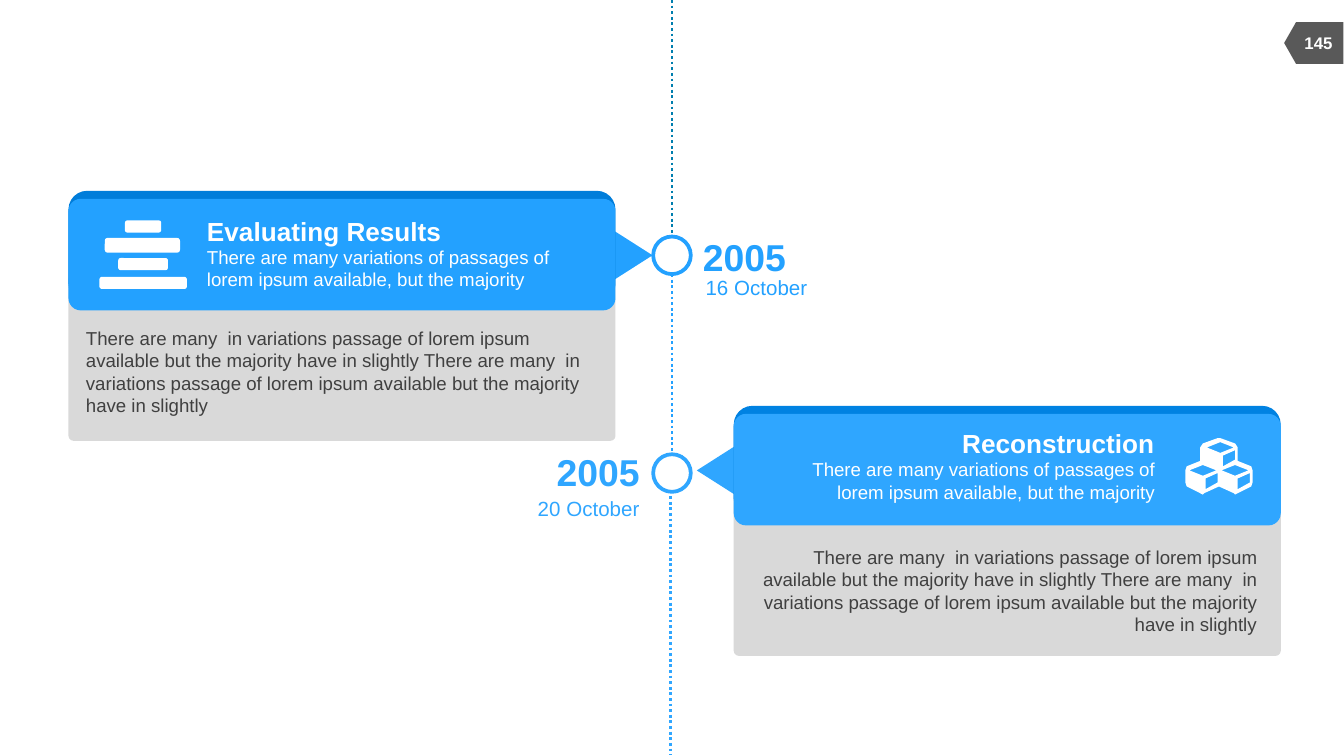
from dataclasses import dataclass

import pptx
import pptx.dml.color
import pptx.enum.dml
import pptx.enum.shapes
import pptx.enum.text
import pptx.oxml.ns
import pptx.util
from lxml import etree

Inches = pptx.util.Inches
Pt = pptx.util.Pt
SHAPES = pptx.enum.shapes.MSO_SHAPE
ANCHOR = pptx.enum.text.MSO_ANCHOR
ALIGN = pptx.enum.text.PP_ALIGN
Point = tuple[float, float]
Box = tuple[float, float, float, float]


@dataclass(frozen=True)
class Theme:
    font: str = "Arial"
    white: str = "FFFFFF"
    panel: str = "D9D9D9"
    body: str = "404040"
    tag: str = "595959"
    line_top: str = "007EAE"
    first: str = "23A1FF"
    first_edge: str = "007DDA"
    second: str = "2FA6FF"
    second_edge: str = "0082E2"
    year_size: int = 20
    title_size: int = 14
    date_size: int = 11
    text_size: int = 10
    page_size: int = 9


THEME = Theme()
SUMMARY = "There are many variations of passages of lorem ipsum available, but the majority"
PASSAGE = ("There are many  in variations passage of lorem ipsum "
           "available but the majority have in slightly")
BODY = f"{PASSAGE} {PASSAGE}"


@dataclass(frozen=True)
class Event:
    title: str
    year: str
    date: str
    color: str
    edge: str
    align: pptx.enum.text.PP_ALIGN
    card: Point
    arrow_x: float
    arrow_turn: int
    node_y: float
    title_box: Box
    summary_at: Point
    body_at: Point
    year_at: Point
    date_at: Point


@dataclass(frozen=True)
class Dots:
    x: float
    top: float
    bottom: float
    color: str


EVENTS = [
    Event("Evaluating Results", "2005", "16 October", THEME.first, THEME.first_edge,
          ALIGN.LEFT, (0.51, 1.42), 4.4, 90, 1.76, (1.54, 1.6, 1.75, 0.24),
          (1.54, 1.83), (0.64, 2.43), (5.23, 1.74), (5.25, 2.04)),
    Event("Reconstruction", "2005", "20 October", THEME.second, THEME.second_edge,
          ALIGN.RIGHT, (5.46, 3.02), 5.13, 270, 3.38, (7.16, 3.18, 1.43, 0.24),
          (5.83, 3.41), (5.58, 4.06), (4.14, 3.34), (4, 3.69)),
]
TIMELINE = [
    Dots(5, 0, 1.76, THEME.line_top),
    Dots(5, 2.04, 3.38, THEME.first),
    Dots(4.99, 3.65, 5.62, THEME.second),
]
# Bars of the stack icon
BARS: list[Box] = [
    (0.93, 1.64, 0.27, 0.09),
    (0.78, 1.77, 0.56, 0.11),
    (0.88, 1.92, 0.37, 0.09),
    (0.74, 2.06, 0.65, 0.09),
]
# Cubes icon, in hundredths of an inch: right half of the outline, cut-out faces
CUBES_AXIS = 907
CUBES_EDGE: list[Point] = [
    (908, 326), (919, 330), (921, 333), (921, 343), (931, 347), (932, 350),
    (932, 359), (931, 362), (921, 367), (919, 368), (918, 367), (907, 362),
]
CUBE_TOPS: list[Point] = [(908, 329), (895, 346), (919, 346)]
CUBE_FACES: list[list[Point]] = [
    [(0, 0), (-10, 4), (0, 8), (10, 4)],
    [(11, 13), (11, 6), (2, 10), (2, 18)],
]


def rgb(color: str) -> pptx.dml.color.RGBColor:
    return pptx.dml.color.RGBColor.from_string(color)


def paint(sp, fill: str, line: str | None = None, width: float = 0) -> None:
    sp.shadow.inherit = False
    sp.fill.solid()
    sp.fill.fore_color.rgb = rgb(fill)
    if line:
        sp.line.color.rgb = rgb(line)
        sp.line.width = Pt(width)
    else:
        sp.line.fill.background()


def add_shape(s, kind, box: Box, fill: str, adj: float | None = None, turn: int = 0,
              line: str | None = None, width: float = 0) -> None:
    sp = s.shapes.add_shape(kind, *map(Inches, box))
    paint(sp, fill, line, width)
    sp.rotation = turn
    if adj is not None:
        sp.adjustments[0] = adj


def add_text(s, text: str, box: Box, size: int, color: str, align,
             bold: bool = False, wrap: bool = False) -> None:
    tf = s.shapes.add_textbox(*map(Inches, box)).text_frame
    tf.margin_left = tf.margin_right = tf.margin_top = tf.margin_bottom = 0
    tf.word_wrap = wrap
    tf.vertical_anchor = ANCHOR.TOP if wrap else ANCHOR.MIDDLE
    p = tf.paragraphs[0]
    p.text = text
    p.alignment = align
    p.font.name = THEME.font
    p.font.size = Pt(size)
    p.font.bold = bold
    p.font.color.rgb = rgb(color)


def add_dots(s, dots: Dots) -> None:
    cxn = s.shapes.add_connector(
        pptx.enum.shapes.MSO_CONNECTOR.STRAIGHT,
        Inches(dots.x), Inches(dots.top), Inches(dots.x), Inches(dots.bottom))
    cxn.line.color.rgb = rgb(dots.color)
    cxn.line.width = Pt(1.5)
    cxn.line.dash_style = pptx.enum.dml.MSO_LINE.ROUND_DOT
    etree.SubElement(cxn._element.spPr, pptx.oxml.ns.qn("a:effectLst"))


def add_event(s, ev: Event) -> None:
    x, y = ev.card
    # Card
    add_shape(s, SHAPES.ROUNDED_RECTANGLE, (x, y + 0.62, 4.07, 1.24), THEME.panel, 0.03)
    add_shape(s, SHAPES.ISOSCELES_TRIANGLE, (ev.arrow_x, y + 0.28, 0.51, 0.4),
              ev.color, turn=ev.arrow_turn)
    add_shape(s, SHAPES.ROUNDED_RECTANGLE, (x, y, 4.07, 0.83), ev.edge)
    add_shape(s, SHAPES.ROUNDED_RECTANGLE, (x, y + 0.06, 4.07, 0.83), ev.color, 0.11)
    add_text(s, ev.title, ev.title_box, THEME.title_size, THEME.white, ev.align, bold=True)
    add_text(s, SUMMARY, (*ev.summary_at, 2.76, 0.34), THEME.text_size, THEME.white,
             ev.align, wrap=True)
    add_text(s, BODY, (*ev.body_at, 3.77, 0.67), THEME.text_size, THEME.body,
             ev.align, wrap=True)
    # Node and date
    add_shape(s, SHAPES.OVAL, (4.86, ev.node_y, 0.28, 0.28), THEME.white,
              line=ev.color, width=2)
    add_text(s, ev.year, (*ev.year_at, 0.62, 0.34), THEME.year_size, ev.color,
             ev.align, bold=True)
    add_text(s, ev.date, (*ev.date_at, 0.76, 0.19), THEME.date_size, ev.color, ev.align)


def add_cubes(s) -> None:
    mirrored = [(2 * CUBES_AXIS - x, y) for x, y in reversed(CUBES_EDGE)]
    faces = [[(x + dx, y + dy) for dx, dy in face]
             for x, y in CUBE_TOPS for face in CUBE_FACES]
    outline = CUBES_EDGE + mirrored
    fb = s.shapes.build_freeform(*outline[0], scale=Inches(0.01))
    fb.add_line_segments(outline[1:], close=True)
    for face in faces:
        fb.move_to(*face[0])
        fb.add_line_segments(face[1:], close=True)
    paint(fb.convert_to_shape(), THEME.white)


def main() -> None:
    prs = pptx.Presentation()
    # 16:9
    prs.slide_width = Inches(10)
    prs.slide_height = prs.slide_width * 9 // 16
    s = prs.slides.add_slide(prs.slide_layouts[6])

    # Page tag
    add_shape(s, SHAPES.FLOWCHART_OFFPAGE_CONNECTOR, (9.62, 0.1, 0.31, 0.44),
              THEME.tag, turn=90)
    add_text(s, "145", (9.6, 0.17, 0.42, 0.3), THEME.page_size, THEME.white,
             ALIGN.CENTER, bold=True)

    # Timeline and its events
    for dots in TIMELINE:
        add_dots(s, dots)
    for ev in EVENTS:
        add_event(s, ev)

    # Icons
    for bar in BARS:
        add_shape(s, SHAPES.ROUNDED_RECTANGLE, bar, THEME.white, 0.2)
    add_cubes(s)

    prs.save("out.pptx")


if __name__ == "__main__":
    main()
